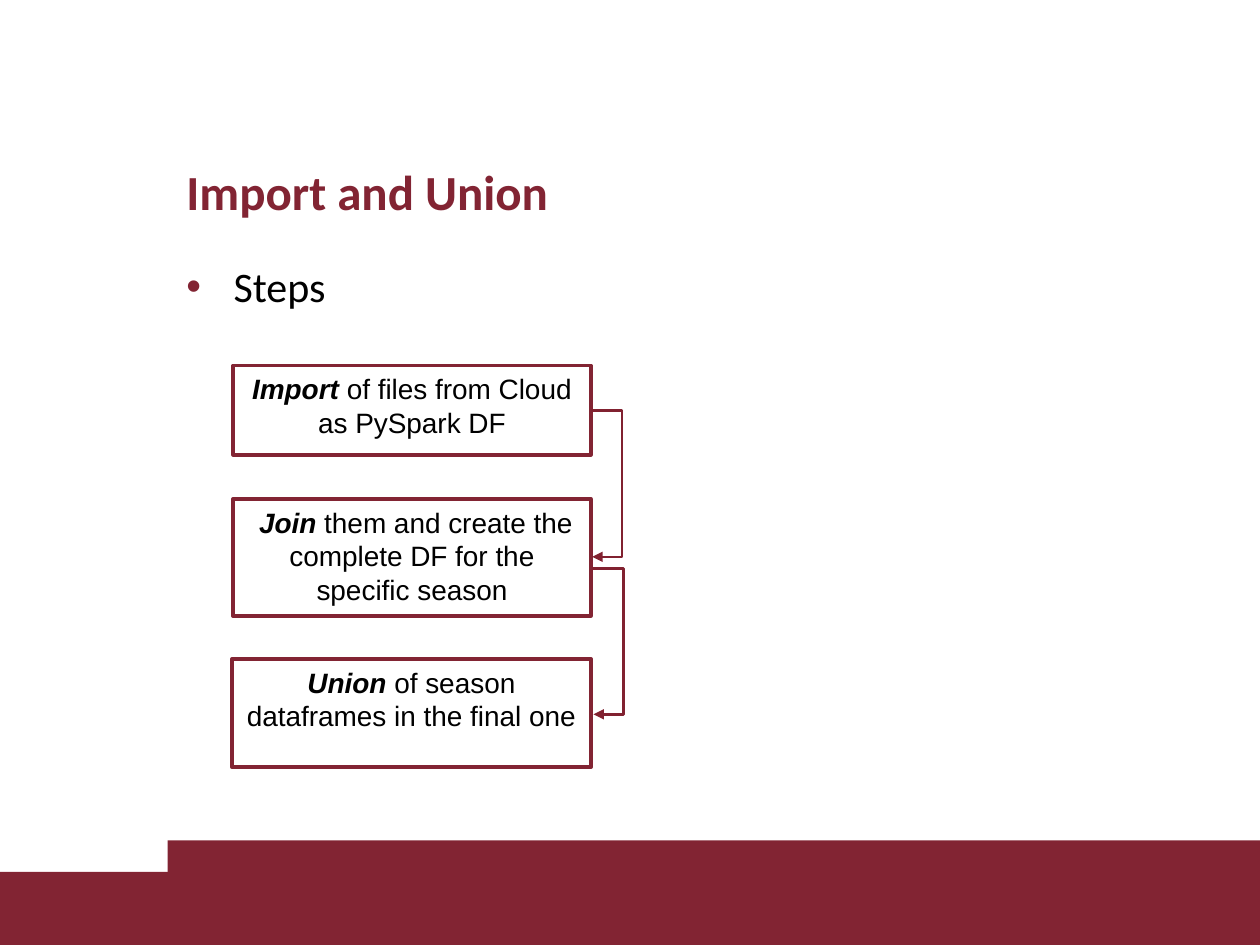
"""Build the Import and Union slide with its three linked steps."""
import pptx
import pptx.util
import pptx.dml.color
import pptx.enum.shapes
import pptx.enum.text
import pptx.oxml
import pptx.oxml.ns

COLORS = {"wine": "822433", "arrow": "812130", "white": "FFFFFF", "black": "000000"}
RGB = {k: pptx.dml.color.RGBColor.from_string(v) for k, v in COLORS.items()}
NS = pptx.oxml.ns.nsdecls("a")
SHAPE = pptx.enum.shapes.MSO_SHAPE.RECTANGLE
ANCHOR = pptx.enum.text.MSO_ANCHOR
ALIGN = pptx.enum.text.PP_ALIGN

prs = pptx.Presentation()
prs.slide_width, prs.slide_height = pptx.util.Inches(10), pptx.util.Inches(7.5)
COL, ROW = prs.slide_width / 100, prs.slide_height / 75
s = prs.slides.add_slide(prs.slide_layouts[5])


def grid(x, y, w, h):
    return [round(v * u) for v, u in zip((x, y, w, h), (COL, ROW, COL, ROW))]


def add_run(p, text, color, **fmt):
    r = p.add_run()
    r.text = text
    r.font.color.rgb = RGB[color]
    for name, value in fmt.items():
        setattr(r.font, name, value)


for x, y in [(0, 69.2), (13.3, 66.7)]:
    band = s.shapes.add_shape(SHAPE, *grid(x, y, 100 - x, 75 - y))
    band.shadow.inherit = False
    band.fill.solid()
    band.fill.fore_color.rgb = RGB["wine"]
    band.line.fill.background()

title = s.shapes.title
title.left, title.top, title.width, title.height = grid(13.8, 12.3, 81.1, 5.5)
body = s.shapes.add_textbox(*grid(13.8, 20.2, 81.1, 6.5))
for sp, text, fmt in [
    (title, "Import and Union", {"color": "wine", "size": pptx.util.Pt(28), "bold": True}),
    (body, "Steps", {"color": "black", "size": pptx.util.Pt(24)}),
]:
    tf = sp.text_frame
    tf.word_wrap = True
    tf.auto_size = pptx.enum.text.MSO_AUTO_SIZE.NONE
    tf.vertical_anchor = ANCHOR.TOP
    tf.paragraphs[0].alignment = ALIGN.LEFT
    add_run(tf.paragraphs[0], text, name="Calibri", **fmt)

pPr = body.text_frame.paragraphs[0]._p.get_or_add_pPr()
indent = round(3.75 * COL)
pPr.set("marL", str(indent))
pPr.set("indent", str(-indent))
for xml in [
    f'<a:buClr {NS}><a:srgbClr val="{COLORS["wine"]}"/></a:buClr>',
    f'<a:buFont {NS} typeface="Arial"/>',
    f'<a:buChar {NS} char="•"/>',
]:
    pPr.append(pptx.oxml.parse_xml(xml))

steps = [
    (18.5, 29, 28.4, 7.1, "", "Import", " of files from Cloud as PySpark DF"),
    (18.5, 39.6, 28.4, 9.3, " ", "Join", " them and create the complete DF for the specific season"),
    (18.4, 52.3, 28.5, 8.6, "", "Union", " of season dataframes in the final one"),
]
for x, y, w, h, lead, verb, rest in steps:
    sp = s.shapes.add_shape(SHAPE, *grid(x, y, w, h))
    sp.shadow.inherit = False
    sp.fill.solid()
    sp.fill.fore_color.rgb = RGB["white"]
    sp.line.color.rgb = RGB["wine"]
    sp.line.width = pptx.util.Pt(2)
    tf = sp.text_frame
    tf.word_wrap = True
    tf.vertical_anchor = ANCHOR.TOP
    p = tf.paragraphs[0]
    p.alignment = ALIGN.CENTER
    for text, strong in [(lead, False), (verb, True), (rest, False)]:
        if text:
            add_run(p, text, "black", name="Arial", size=pptx.util.Pt(16), bold=strong, italic=strong)

REACH, STEP, DROP = 2.5, 0.1, 11.6
for x, y in [(46.9, 32.6), (47, 45.1)]:
    left, top, width, height = grid(x, y, STEP, DROP)
    cxn = s.shapes.add_connector(
        pptx.enum.shapes.MSO_CONNECTOR.ELBOW, left, top, left + width, top + height)
    cxn.line.color.rgb = RGB["arrow"]
    cxn.line.width = pptx.util.Pt(1.5)
    cxn.line._get_or_add_ln().append(pptx.oxml.parse_xml(f'<a:tailEnd {NS} type="triangle"/>'))
    spPr = cxn._element.spPr
    spPr.append(pptx.oxml.parse_xml(f"<a:effectLst {NS}/>"))
    bend = round(REACH / STEP * 100000)
    spPr.find(pptx.oxml.ns.qn("a:prstGeom")).get_or_add_avLst().append(
        pptx.oxml.parse_xml(f'<a:gd {NS} name="adj1" fmla="val {bend}"/>'))

prs.save("out.pptx")
